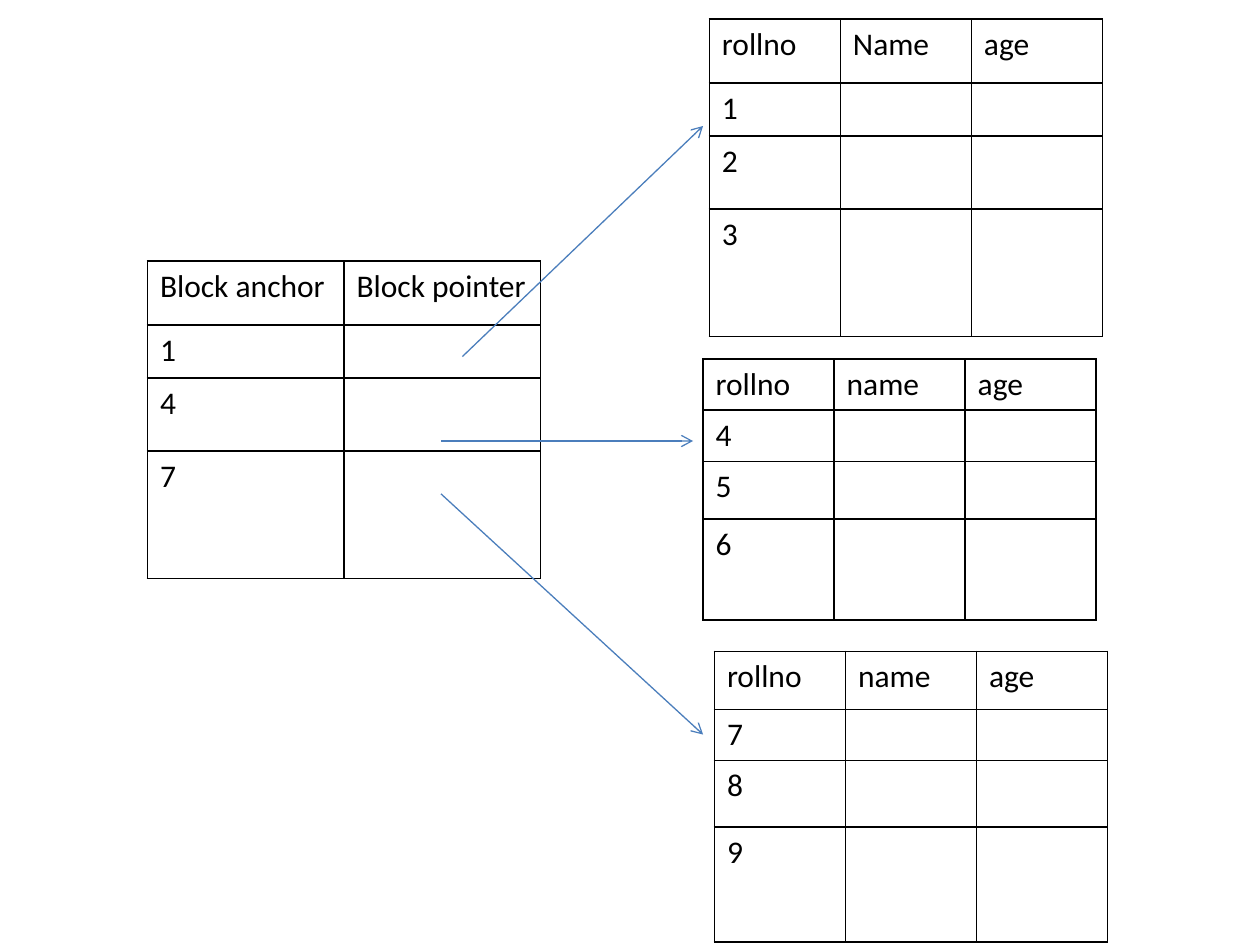
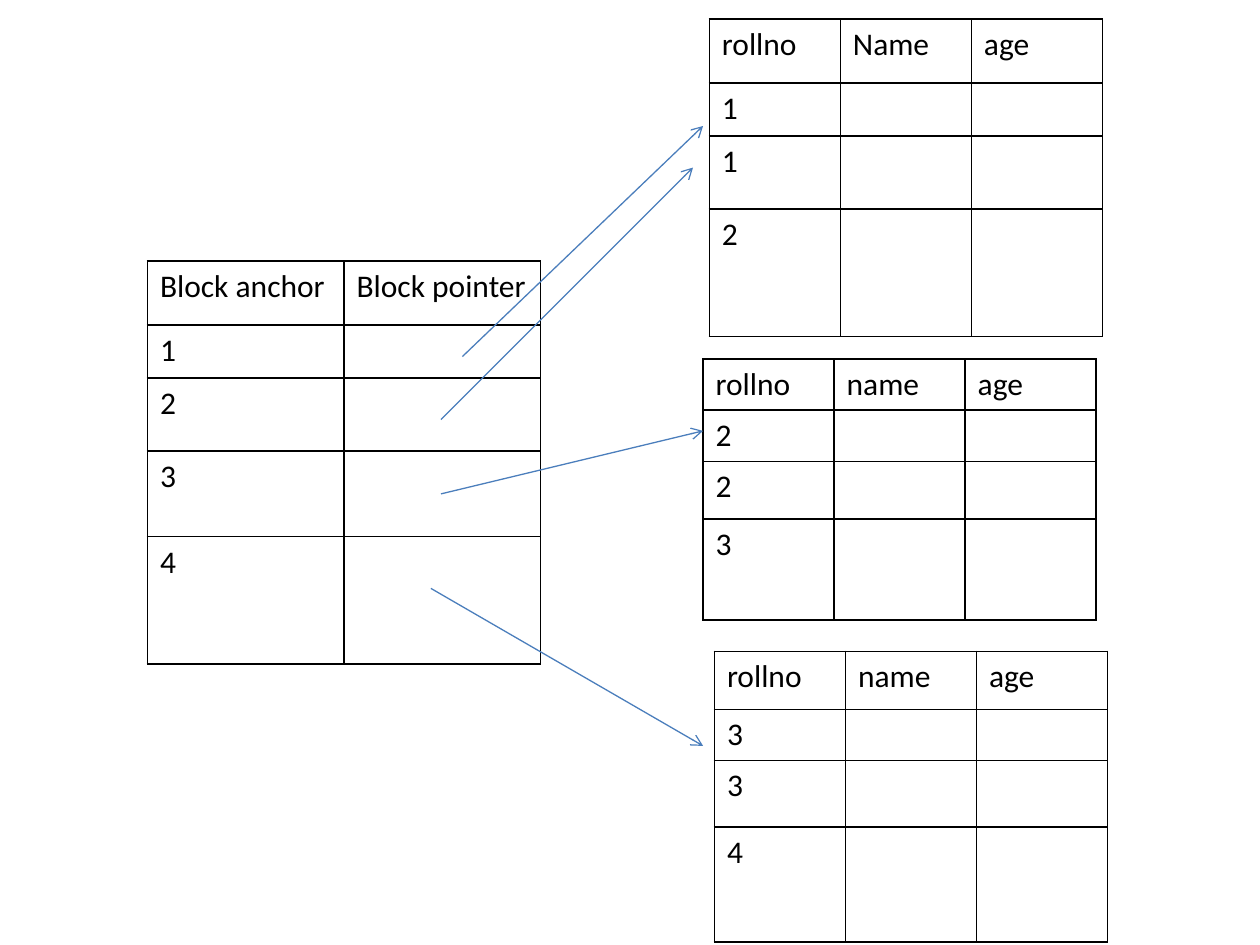
from lxml import etree
from pptx import Presentation
from pptx.dml.color import RGBColor
from pptx.enum.shapes import MSO_CONNECTOR
from pptx.oxml.ns import qn
from pptx.util import Pt

STRAIGHT = MSO_CONNECTOR.STRAIGHT
PX = 9144
BLACK = "000000"
BLUE = "4B7EBC"
TEXT = {"size": Pt(18), "name": "Calibri", "bold": False}
PLAIN = {"first_row": False, "horz_banding": False}
SIDES = ("a:lnL", "a:lnR", "a:lnT", "a:lnB")

INDEX_HEAD = ["Block anchor", "Block pointer"]
INDEX_AT = (117, 207)
BLOCK_WIDTH = 312
BLOCKS = [
    (563, 15, ["rollno", "Name", "age"], [51, 42, 58, 101]),
    (558, 285, ["rollno", "name", "age"], [40, 33, 46, 80]),
    (567, 517, ["rollno", "name", "age"], [46, 38, 53, 91]),
]
SLIDES = [
    {
        "anchors": "147",
        "heights": [51, 42, 58, 101],
        "keys": ["123", "456", "789"],
        "arrows": [(367, 283, 558, 100), (350, 350, 550, 350), (350, 392, 558, 583)],
    },
    {
        "anchors": "1234",
        "heights": [51, 42, 58, 68, 101],
        "keys": ["112", "223", "334"],
        "arrows": [(367, 283, 558, 100), (350, 333, 550, 133),
                   (350, 392, 558, 342), (342, 467, 558, 592)],
    },
]


def rgb(value):
    return RGBColor.from_string(value)


def add_grid(s, x, y, head, keys, heights):
    rows = [head] + [[key] + [""] * (len(head) - 1) for key in keys]
    size = (BLOCK_WIDTH * PX, sum(heights) * PX)
    tbl = s.shapes.add_table(len(rows), len(head), x * PX, y * PX, *size).table
    for name, value in PLAIN.items():
        setattr(tbl, name, value)
    for col in tbl.columns:
        col.width = BLOCK_WIDTH * PX // len(head)
    for row, height, values in zip(tbl.rows, heights, rows):
        row.height = height * PX
        for cell, value in zip(row.cells, values):
            tcPr = cell._tc.get_or_add_tcPr()
            for side in SIDES:
                ln = etree.SubElement(tcPr, qn(side), w=str(Pt(1)))
                fill = etree.SubElement(ln, qn("a:solidFill"))
                etree.SubElement(fill, qn("a:srgbClr"), val=BLACK)
            cell.fill.background()
            if value:
                r = cell.text_frame.paragraphs[0].add_run()
                r.text = value
                r.font.color.rgb = rgb(BLACK)
                for name, setting in TEXT.items():
                    setattr(r.font, name, setting)


prs = Presentation()
prs.slide_width = 1000 * PX
prs.slide_height = 750 * PX

for content in SLIDES:
    s = prs.slides.add_slide(prs.slide_layouts[6])
    add_grid(s, *INDEX_AT, INDEX_HEAD, content["anchors"], content["heights"])
    for (x, y, head, heights), keys in zip(BLOCKS, content["keys"]):
        add_grid(s, x, y, head, keys, heights)
    for ends in content["arrows"]:
        sp = s.shapes.add_connector(STRAIGHT, *[v * PX for v in ends])
        sp.line.color.rgb = rgb(BLUE)
        sp.line.width = Pt(0.75)
        etree.SubElement(sp.line._get_or_add_ln(), qn("a:tailEnd"), type="arrow")
        etree.SubElement(sp._element.spPr, qn("a:effectLst"))

prs.save("out.pptx")
